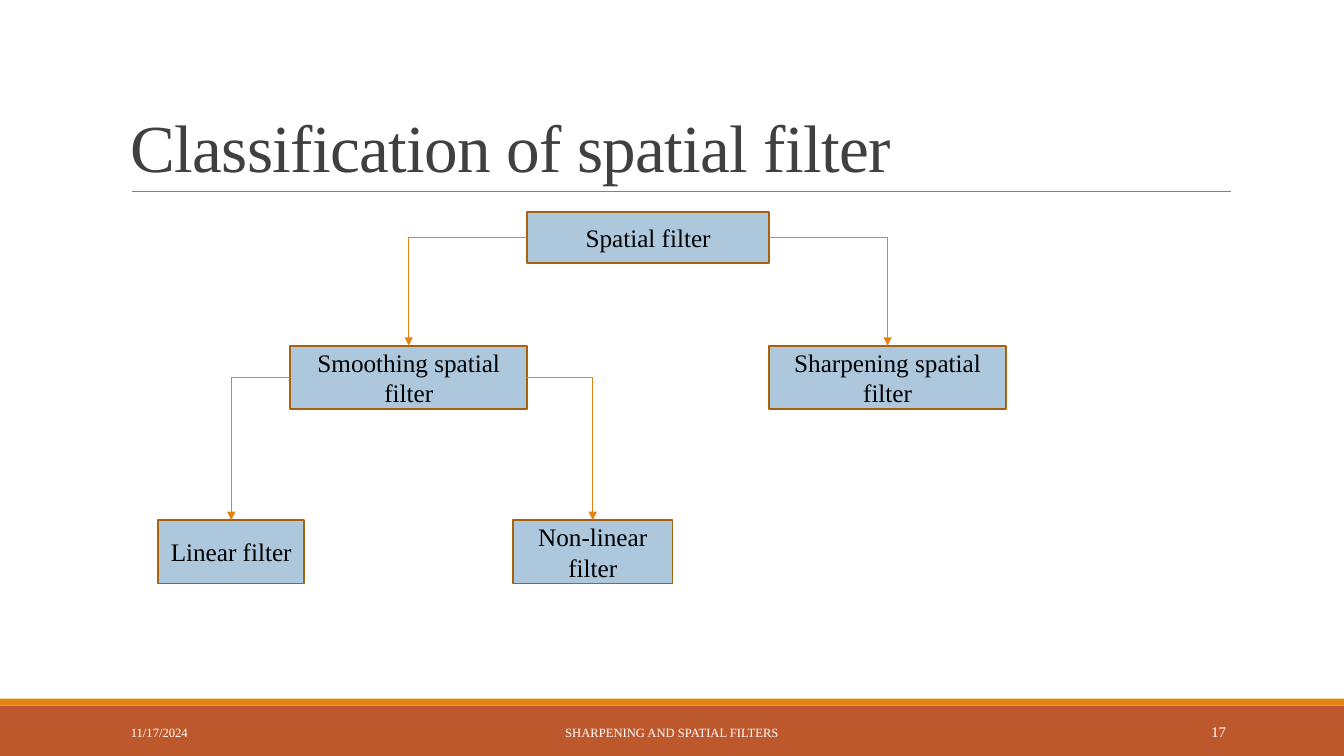
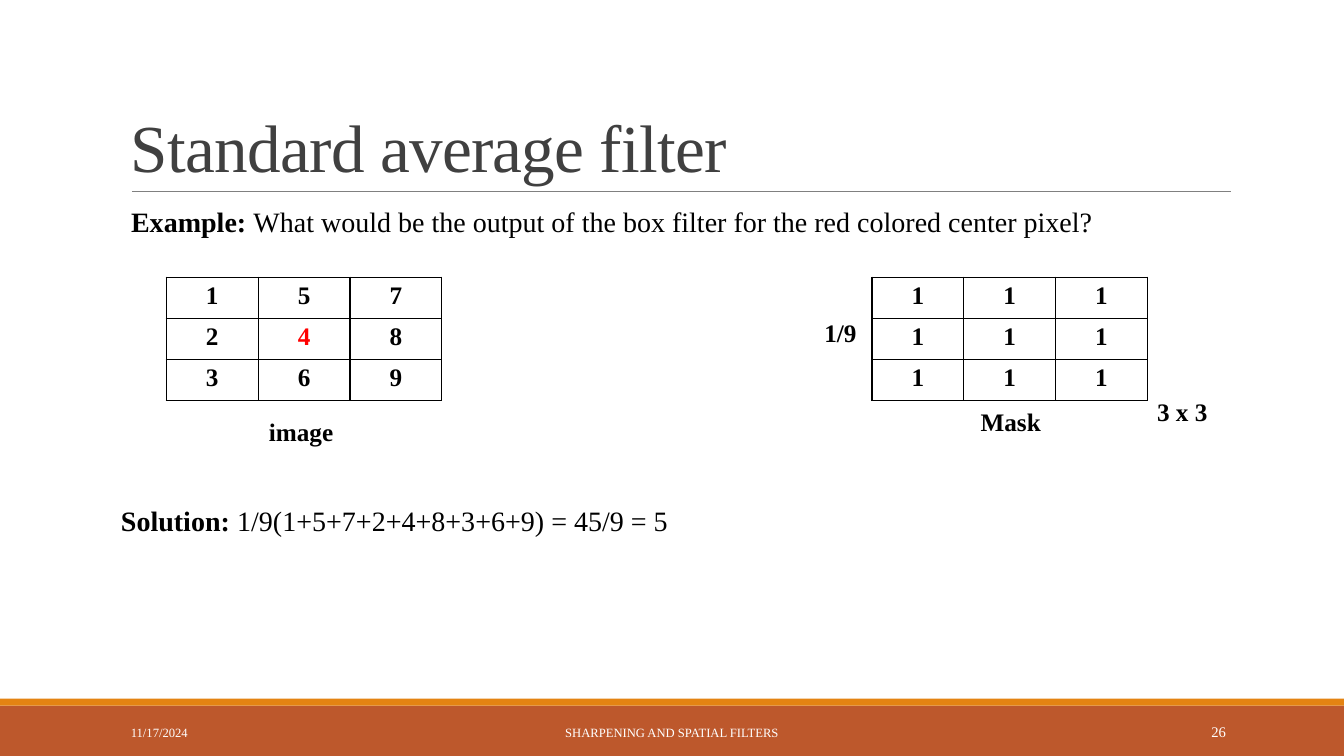
from lxml import etree
from pptx import Presentation
from pptx.dml.color import RGBColor
from pptx.enum.shapes import MSO_CONNECTOR as Connector, MSO_SHAPE as Shape
from pptx.enum.text import MSO_ANCHOR as Anchor, PP_ALIGN as Align
from pptx.oxml.ns import qn
from pptx.util import Pt

# Content
DATE = "11/17/2024"
FOOTER = "SHARPENING AND SPATIAL FILTERS"

TREE_TITLE, TREE_PAGE = "Classification of spatial filter", 17
ROW_TOP_HEIGHT = [(151.2, 36.7), (247, 45.4), (371.5, 45.4)]
# label: (row, left, width, parent)
TREE = {
    "Spatial filter": (0, 376.6, 172.8, None),
    "Smoothing spatial filter": (1, 207.4, 169.2, "Spatial filter"),
    "Sharpening spatial filter": (1, 549.4, 169.2, "Spatial filter"),
    "Linear filter": (2, 113, 104.4, "Smoothing spatial filter"),
    "Non-linear filter": (2, 366.5, 113.8, "Smoothing spatial filter"),
}

AVERAGE_TITLE, AVERAGE_PAGE = "Standard average filter", 26
# left, top, bold lead, rest
STATEMENTS = [
    (93.6, 145.4, "Example: ",
     "What would be the output of the box filter for the red colored center pixel?"),
    (86.4, 359, "Solution: ", "1/9(1+5+7+2+4+8+3+6+9) = 45/9 = 5"),
]
IMAGE = [[1, 5, 7], [2, 4, 8], [3, 6, 9]]
MASK = [[1] * 3 for _ in range(3)]
IMAGE_LEFT, MASK_LEFT, GRID_TOP = 118.8, 622.8, 198
CELL_WIDTH, CELL_HEIGHT = 65.6, 29.3
# text, left, top, width
LABELS = [
    ("1/9", 581.8, 223.2, 41),
    ("Mask", 693.4, 286.6, 64),
    ("3 x 3", 819.4, 279.4, 55.4),
    ("image", 185, 293.8, 64),
]

# Style
FONT = "Times New Roman"
BLACK = RGBColor(0x00, 0x00, 0x00)
WHITE = RGBColor(0xFF, 0xFF, 0xFF)
RED = RGBColor(0xFF, 0x00, 0x00)
TITLE_GREY = RGBColor(0x40, 0x40, 0x40)
RULE_GREY = RGBColor(0x80, 0x80, 0x80)
RUST = RGBColor(0xBD, 0x58, 0x2C)
ORANGE = RGBColor(0xE4, 0x83, 0x12)
BROWN = RGBColor(0xA9, 0x61, 0x0D)
BLUE = RGBColor(0xAD, 0xC8, 0xDD)
WIDTH, HEIGHT = 960, 540


def write(frame, *texts, size=18, color=BLACK, bold=False, lead_bold=False,
          align=Align.LEFT, anchor=Anchor.TOP, line_spacing=None, tracking=None):
    """Write the texts as runs of one paragraph."""
    frame.word_wrap = True
    frame.vertical_anchor = anchor
    para = frame.paragraphs[0]
    para.alignment = align
    para.line_spacing = line_spacing
    for index, text in enumerate(texts):
        span = para.add_run()
        span.text = text
        span.font.name = FONT
        span.font.size = Pt(size)
        span.font.bold = bold or (lead_bold and index == 0)
        span.font.color.rgb = color
        if tracking is not None:
            span.font._element.set("spc", str(tracking))


def add_text(page, left, top, width, height, *texts, **style):
    box = page.shapes.add_textbox(Pt(left), Pt(top), Pt(width), Pt(height))
    write(box.text_frame, *texts, **style)
    return box


def add_box(page, left, top, width, height, fill, line=None):
    box = page.shapes.add_shape(
        Shape.RECTANGLE, Pt(left), Pt(top), Pt(width), Pt(height))
    box.shadow.inherit = False
    box.fill.solid()
    box.fill.fore_color.rgb = fill
    if line is None:
        box.line.fill.background()
    else:
        box.line.color.rgb = line
        box.line.width = Pt(1.25)
    return box


def add_line(page, kind, start, end, color, width):
    line = page.shapes.add_connector(kind, *start, *end)
    line.line.color.rgb = color
    line.line.width = Pt(width)
    etree.SubElement(line._element.spPr, qn("a:effectLst"))
    return line


def add_branch(page, parent, child):
    """Arrow from the parent's side, bending once, to the child's top."""
    child_middle = child.left + child.width // 2
    goes_left = child_middle < parent.left
    start = (parent.left + (0 if goes_left else parent.width),
             parent.top + parent.height // 2)
    arrow = add_line(page, Connector.ELBOW, start, (child_middle, child.top), ORANGE, 1)
    arrow.begin_connect(parent, 1 if goes_left else 3)
    arrow.end_connect(child, 0)
    properties = arrow._element.spPr
    properties.find(qn("a:prstGeom")).set("prst", "bentConnector2")
    etree.SubElement(properties.find(qn("a:ln")), qn("a:tailEnd"), type="triangle")


def add_page(deck, title, number):
    """Page with the shared bands, title, rule and footer."""
    page = deck.slides.add_slide(deck.slide_layouts[6])
    add_box(page, 0, 504, WIDTH, 36, RUST)
    add_box(page, 0, 499, WIDTH, 5, ORANGE)
    add_line(page, Connector.STRAIGHT, (Pt(94.3), Pt(136.8)),
             (Pt(879.1), Pt(136.8)), RULE_GREY, 0.5)
    add_text(page, 86.4, 22.3, 792, 114.5, title, size=48, color=TITLE_GREY,
             anchor=Anchor.BOTTOM, line_spacing=0.85, tracking=-50)
    for text, left, width, size, align in [
        (DATE, 86.4, 194.4, 9, Align.LEFT),
        (FOOTER, 290.2, 379.4, 9, Align.CENTER),
        (str(number), 779.8, 103, 10.5, Align.RIGHT),
    ]:
        add_text(page, left, 508.5, width, 28.8, text, size=size, color=WHITE,
                 align=align, anchor=Anchor.MIDDLE)
    return page


def add_borders(cell):
    properties = cell._tc.get_or_add_tcPr()
    for side in ("a:lnL", "a:lnR", "a:lnT", "a:lnB"):
        line = etree.SubElement(properties, qn(side), w=str(Pt(1)))
        fill = etree.SubElement(line, qn("a:solidFill"))
        etree.SubElement(fill, qn("a:srgbClr"), val=str(BLACK))


def add_grid(page, left, values, red_cell=None):
    rows, columns = len(values), len(values[0])
    grid = page.shapes.add_table(
        rows, columns, Pt(left), Pt(GRID_TOP),
        Pt(CELL_WIDTH * columns), Pt(CELL_HEIGHT * rows)).table
    grid.first_row = grid.horz_banding = False
    for column in grid.columns:
        column.width = Pt(CELL_WIDTH)
    for row_index, row in enumerate(values):
        grid.rows[row_index].height = Pt(CELL_HEIGHT)
        for column_index, value in enumerate(row):
            cell = grid.cell(row_index, column_index)
            add_borders(cell)
            cell.fill.solid()
            cell.fill.fore_color.rgb = WHITE
            is_red = (row_index, column_index) == red_cell
            write(cell.text_frame, str(value), bold=True, align=Align.CENTER,
                  color=RED if is_red else BLACK)


def build_tree(deck):
    page = add_page(deck, TREE_TITLE, TREE_PAGE)
    boxes = {}
    for label, (row, left, width, parent) in TREE.items():
        top, height = ROW_TOP_HEIGHT[row]
        box = add_box(page, left, top, width, height, BLUE, BROWN)
        write(box.text_frame, label, align=Align.CENTER, anchor=Anchor.MIDDLE)
        boxes[label] = box
        if parent:
            add_branch(page, boxes[parent], box)


def build_average(deck):
    page = add_page(deck, AVERAGE_TITLE, AVERAGE_PAGE)
    for left, top, lead, rest in STATEMENTS:
        box = add_text(page, left, top, 785, 30, lead, rest, size=20,
                       lead_bold=True, line_spacing=0.9)
        box.text_frame.margin_left = box.text_frame.margin_right = 0
    add_grid(page, IMAGE_LEFT, IMAGE, red_cell=(1, 1))
    add_grid(page, MASK_LEFT, MASK)
    for text, left, top, width in LABELS:
        add_text(page, left, top, width, 28.8, text, bold=True)


def main():
    deck = Presentation()
    deck.slide_width, deck.slide_height = Pt(WIDTH), Pt(HEIGHT)
    build_tree(deck)
    build_average(deck)
    deck.save("out.pptx")


if __name__ == "__main__":
    main()
